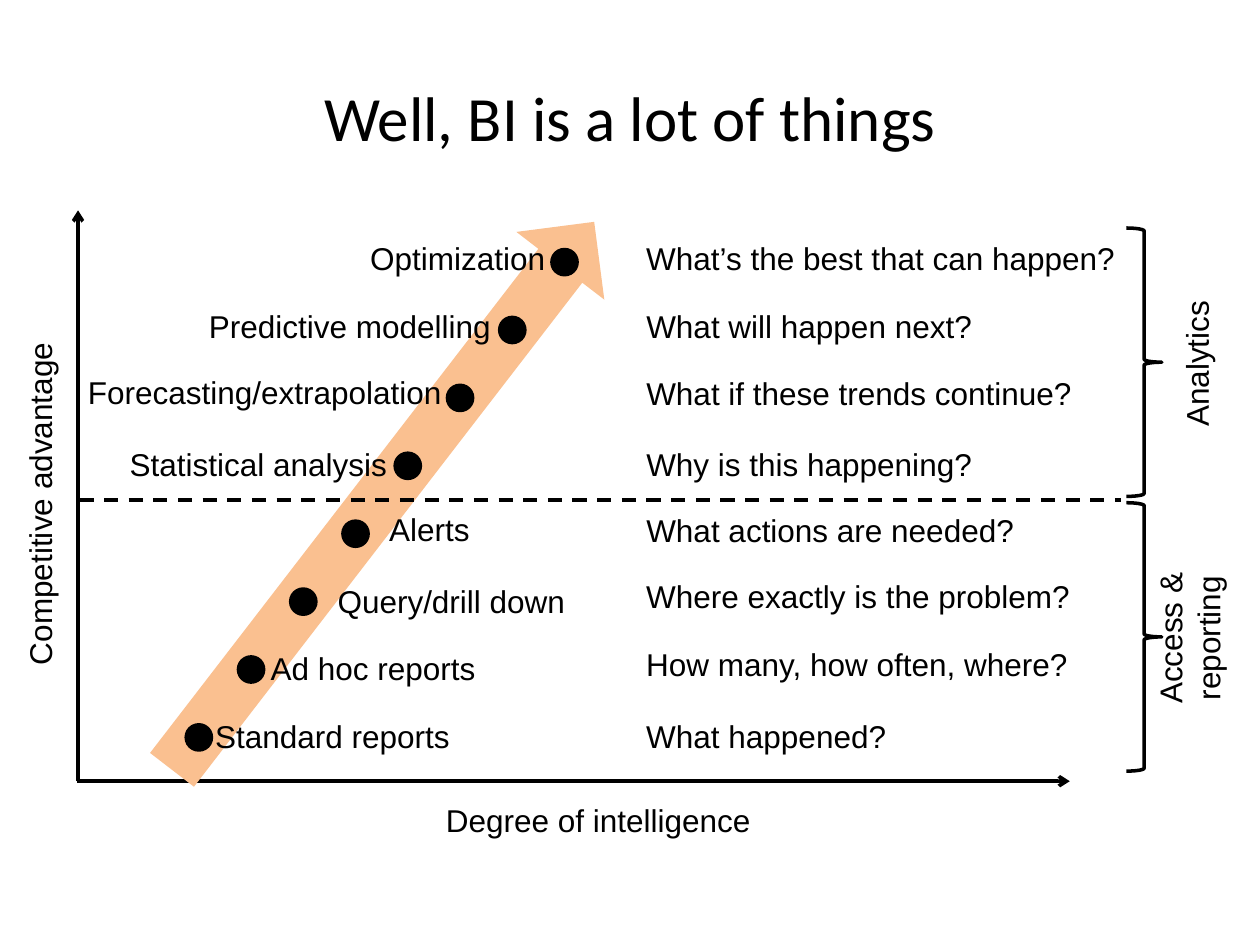
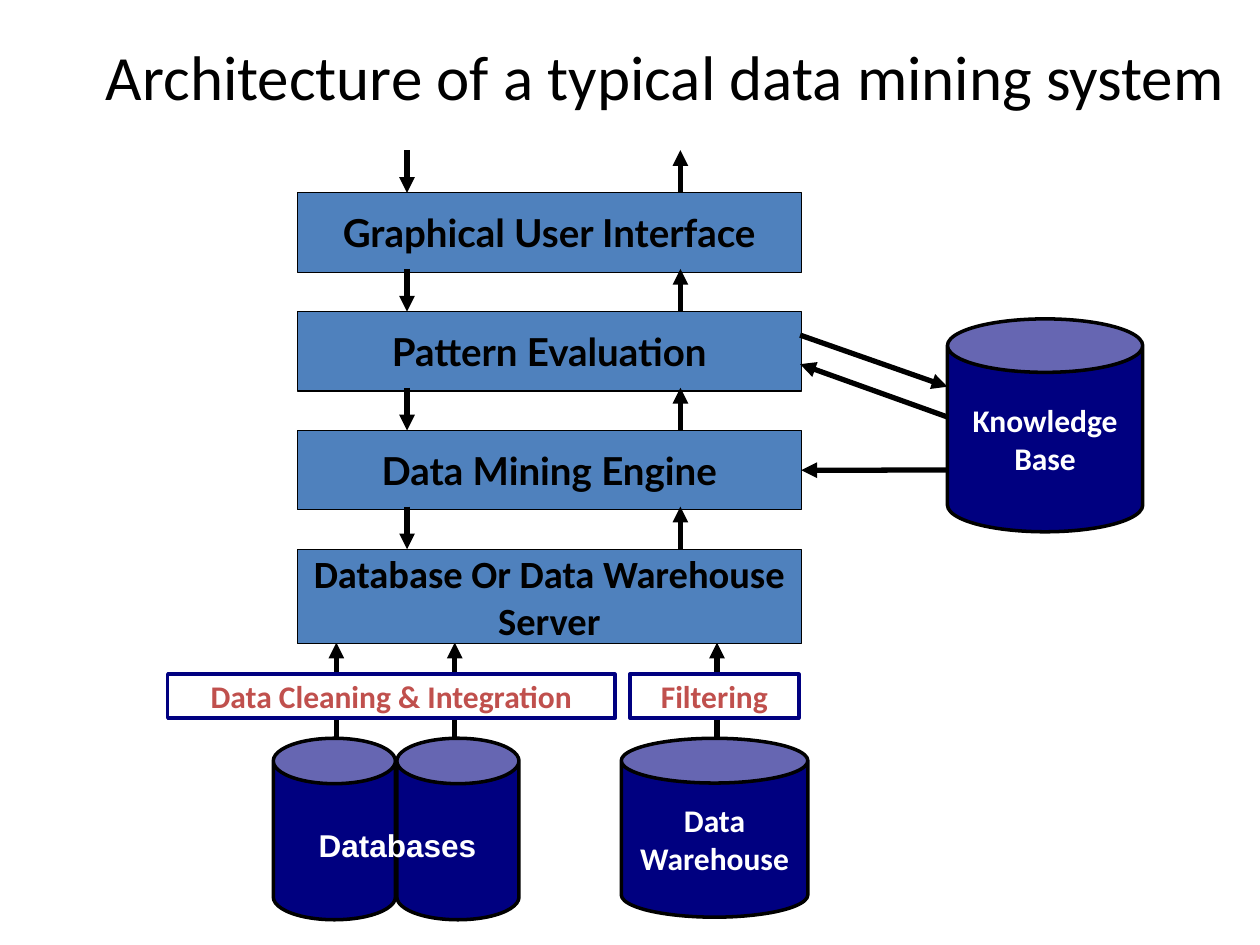
from lxml.etree import SubElement
from pptx import Presentation
from pptx.dml.color import RGBColor
from pptx.enum.dml import MSO_LINE
from pptx.enum.shapes import MSO_CONNECTOR, MSO_SHAPE
from pptx.enum.text import MSO_ANCHOR, MSO_AUTO_SIZE, PP_ALIGN
from pptx.oxml.ns import qn
from pptx.util import Pt

BLACK, WHITE = "000000", "FFFFFF"
NAVY, BLUE, PEACH, RED = "000080", "4F81BD", "FAC090", "C0504D"
BODY, HEADING, LAYER = "Arial", "Calibri", "Lato"


def color(hex_string):
    return RGBColor.from_string(hex_string)


class Deck:
    """Shared style and the slide being built; all lengths are points."""

    def __init__(self):
        self.prs = Presentation()
        self.prs.slide_width, self.prs.slide_height = Pt(720), Pt(540)
        self.slide = None

    def new_slide(self, title, left, top, width, height):
        self.slide = self.prs.slides.add_slide(self.prs.slide_layouts[5])
        heading = self.slide.shapes.title
        heading.left, heading.top = Pt(left), Pt(top)
        heading.width, heading.height = Pt(width), Pt(height)
        self.set_text(heading, title, size=36, font=HEADING, align=PP_ALIGN.CENTER,
                      anchor=MSO_ANCHOR.MIDDLE)

    def set_text(self, shape, words, size=18, font=BODY, ink=BLACK, bold=False,
                 align=PP_ALIGN.LEFT, anchor=MSO_ANCHOR.TOP, wrap=True, insets=None):
        frame = shape.text_frame
        frame.auto_size = MSO_AUTO_SIZE.NONE
        frame.word_wrap = wrap
        frame.vertical_anchor = anchor
        if insets:
            side, end = insets
            frame.margin_left = frame.margin_right = Pt(side)
            frame.margin_top = frame.margin_bottom = Pt(end)
        paragraph = frame.paragraphs[0]
        paragraph.alignment = align
        run = paragraph.add_run()
        run.text = words
        run.font.size, run.font.name, run.font.bold = Pt(size), font, bold
        run.font.color.rgb = color(ink)

    def text(self, words, left, top, width, height=29, rotation=0, **style):
        box = self.slide.shapes.add_textbox(Pt(left), Pt(top), Pt(width), Pt(height))
        box.rotation = rotation
        self.set_text(box, words, **style)

    def shape(self, kind, left, top, width, height, fill=None, line=BLACK,
              weight=2, adjust=None, rotation=0):
        shape = self.slide.shapes.add_shape(kind, Pt(left), Pt(top), Pt(width), Pt(height))
        shape.shadow.inherit = False
        shape.rotation = rotation
        if adjust is not None:
            shape.adjustments[0] = adjust
        if fill:
            shape.fill.solid()
            shape.fill.fore_color.rgb = color(fill)
        else:
            shape.fill.background()
        if line:
            shape.line.color.rgb = color(line)
            shape.line.width = Pt(weight)
        else:
            shape.line.fill.background()
        return shape

    def block(self, kind, words, at, style, **look):
        shape = self.shape(kind, *at, **look)
        self.set_text(shape, words, bold=True, align=PP_ALIGN.CENTER,
                      anchor=MSO_ANCHOR.MIDDLE, **style)
        return shape

    def line(self, x1, y1, x2, y2, weight=3, head="triangle", dash=None):
        link = self.slide.shapes.add_connector(
            MSO_CONNECTOR.STRAIGHT, Pt(x1), Pt(y1), Pt(x2), Pt(y2))
        link.line.color.rgb = color(BLACK)
        link.line.width = Pt(weight)
        if dash:
            link.line.dash_style = dash
        properties = link._element.spPr
        if head:
            SubElement(properties.find(qn("a:ln")), qn("a:tailEnd"), type=head)
        SubElement(properties, qn("a:effectLst"))
        return link


def build_bi_overview(deck):
    deck.new_slide("Well, BI is a lot of things", 36, 21.6, 648, 90)

    # Axes
    deck.line(44.6, 446.4, 44.6, 120.2, weight=2, head="arrow")
    deck.line(43.9, 446.4, 611.3, 446.4, weight=2, head="arrow")
    deck.text("Competitive advantage", -79.9, 270, 205.2, rotation=270, wrap=False)
    deck.text("Degree of intelligence", 247.7, 454.3, 190.1, wrap=False)

    # Rising arrow
    deck.shape(MSO_SHAPE.UP_ARROW, 187.2, 85.7, 63.4, 395.3, fill=PEACH,
               line=None, rotation=37.6)

    # Stages from top to bottom: name, left, top, width; question, top, width
    stages = [
        ("Optimization", 204.5, 133.2, 115.2,
         "What’s the best that can happen?", 133.2, 285.1),
        ("Predictive modelling", 112.3, 172.1, 177.1,
         "What will happen next?", 172.1, 202.3),
        ("Forecasting/extrapolation", 43.2, 209.5, 218.9,
         "What if these trends continue?", 210.2, 259.9),
        ("Statistical analysis", 67, 250.6, 162.7,
         "Why is this happening?", 250.6, 202.3),
        ("Alerts", 215.3, 288, 61.9,
         "What actions are needed?", 288.7, 226.8),
        ("Query/drill down", 185.8, 329, 147.6,
         "Where exactly is the problem?", 326.2, 277.9),
        ("Ad hoc reports", 147.6, 367.2, 147.6,
         "How many, how often, where?", 365, 262.1),
        ("Standard reports", 115.9, 406.1, 175,
         "What happened?", 406.1, 175),
    ]
    for row, (name, left, top, width, question, q_top, q_width) in enumerate(stages):
        wrap = row > 4
        deck.shape(MSO_SHAPE.OVAL, 315.4 - 29.85 * row, 142.6 + 38.8 * row,
                   14.4, 14.4, fill=BLACK)
        deck.text(name, left, top, width, wrap=wrap)
        deck.text(question, 362.2, q_top, q_width, wrap=wrap)

    # Analytics above the dashed line, access and reporting below
    deck.line(45.4, 285.8, 640.8, 285.8, weight=2, head=None, dash=MSO_LINE.DASH)
    for brace_top in (130.3, 287.3):
        deck.shape(MSO_SHAPE.RIGHT_BRACE, 643.7, brace_top, 20.2, 153.4, adjust=0.083)
    deck.text("Analytics", 639.4, 192.2, 88.6, rotation=270, wrap=False)
    deck.text("Access & reporting", 604.1, 339.1, 151.2, 51.1, rotation=270,
              align=PP_ALIGN.CENTER)


def build_mining_architecture(deck):
    deck.new_slide("Architecture of a typical data mining system", 47.5, 0, 665.3, 85.7)

    # Feeds into the server, running behind the boxes
    for feed_x in (192.2, 259.9, 409.7):
        deck.line(feed_x, 426, feed_x, 367.2)

    # Layers with a request arrow down and a result arrow up above each
    layers = [
        ("Graphical User Interface", 45.4, LAYER),
        ("Pattern Evaluation", 45.4, LAYER),
        ("Data Mining Engine", 45.4, LAYER),
        ("Database Or Data Warehouse Server", 54, HEADING),
    ]
    boxes = []
    for row, (name, height, font) in enumerate(layers):
        top = 110.2 + 67.9 * row
        deck.line(232.6, top - 24.4, 232.6, top)
        deck.line(388.8, top, 388.8, top - 24.4)
        boxes.append(deck.block(
            MSO_SHAPE.RECTANGLE, name, (169.9, top, 288, height),
            dict(size=22, font=font, insets=(0, 0)), fill=BLUE, weight=0.75))

    # Knowledge base and its links
    engine_link = deck.line(549.4, 268.6, 457.9, 268.6)
    engine_link.end_connect(boxes[2], 3)
    store_text = dict(font=HEADING, ink=WHITE, insets=(0, 3.6))
    deck.block(MSO_SHAPE.CAN, "Knowledge Base", (541.4, 182.2, 111.6, 121.7),
               store_text, fill=NAVY, adjust=0.274)
    deck.line(457.2, 191.5, 541.4, 221)
    deck.line(541.4, 238.3, 457.2, 208.1)

    # Data sources
    deck.block(MSO_SHAPE.CAN, "Data Warehouse", (355, 421.9, 106.6, 102.2),
               store_text, fill=NAVY, adjust=0.25)
    for database_left in (156.2, 226.8):
        deck.shape(MSO_SHAPE.CAN, database_left, 421.9, 69.8, 103.7,
                   fill=NAVY, adjust=0.372)
    deck.text("Databases", 175, 468.7, 104.4, ink=WHITE, bold=True, wrap=False)

    # Preparation steps
    for step, left, width in (("Filtering", 360, 96.5),
                              ("Data Cleaning & Integration", 95.8, 255.6)):
        deck.block(MSO_SHAPE.RECTANGLE, step, (left, 385.2, width, 25.2),
                   dict(font=HEADING, ink=RED, wrap=False), fill=WHITE, line=NAVY)


def main():
    deck = Deck()
    build_bi_overview(deck)
    build_mining_architecture(deck)
    deck.prs.save("out.pptx")


if __name__ == "__main__":
    main()
